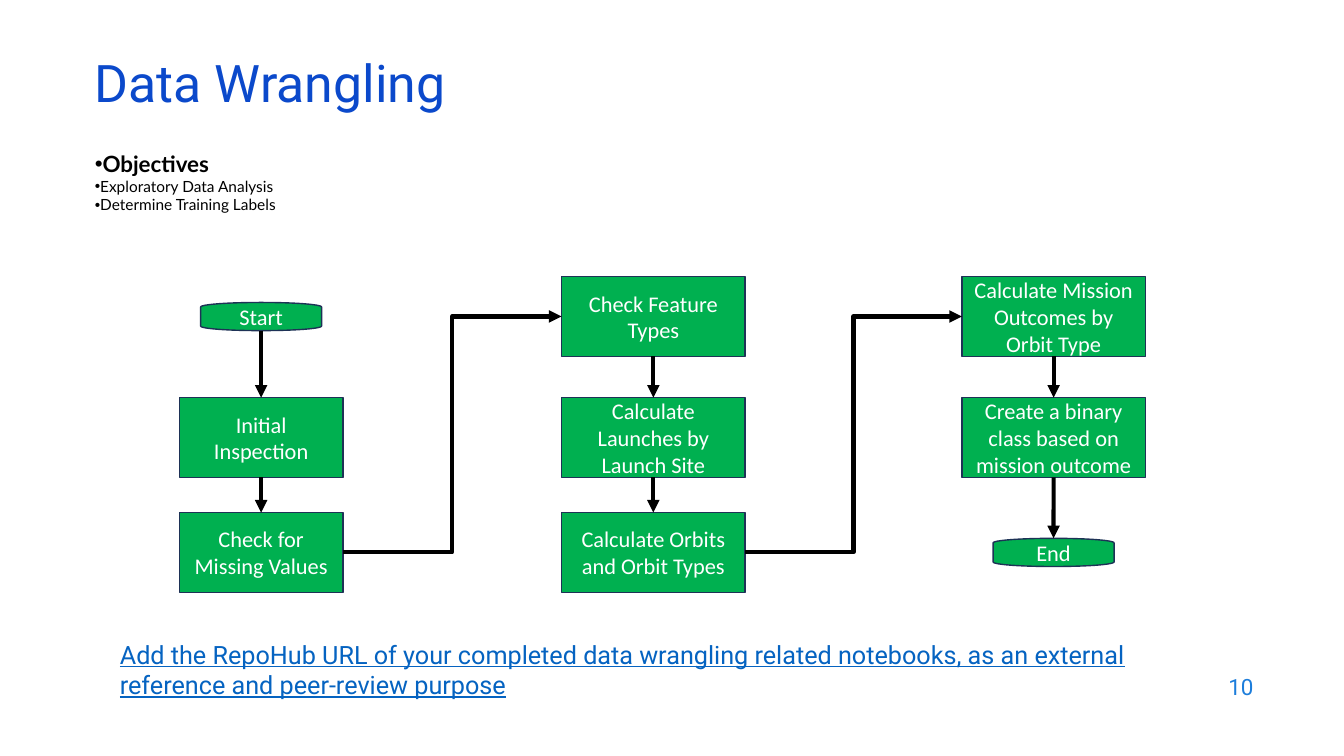
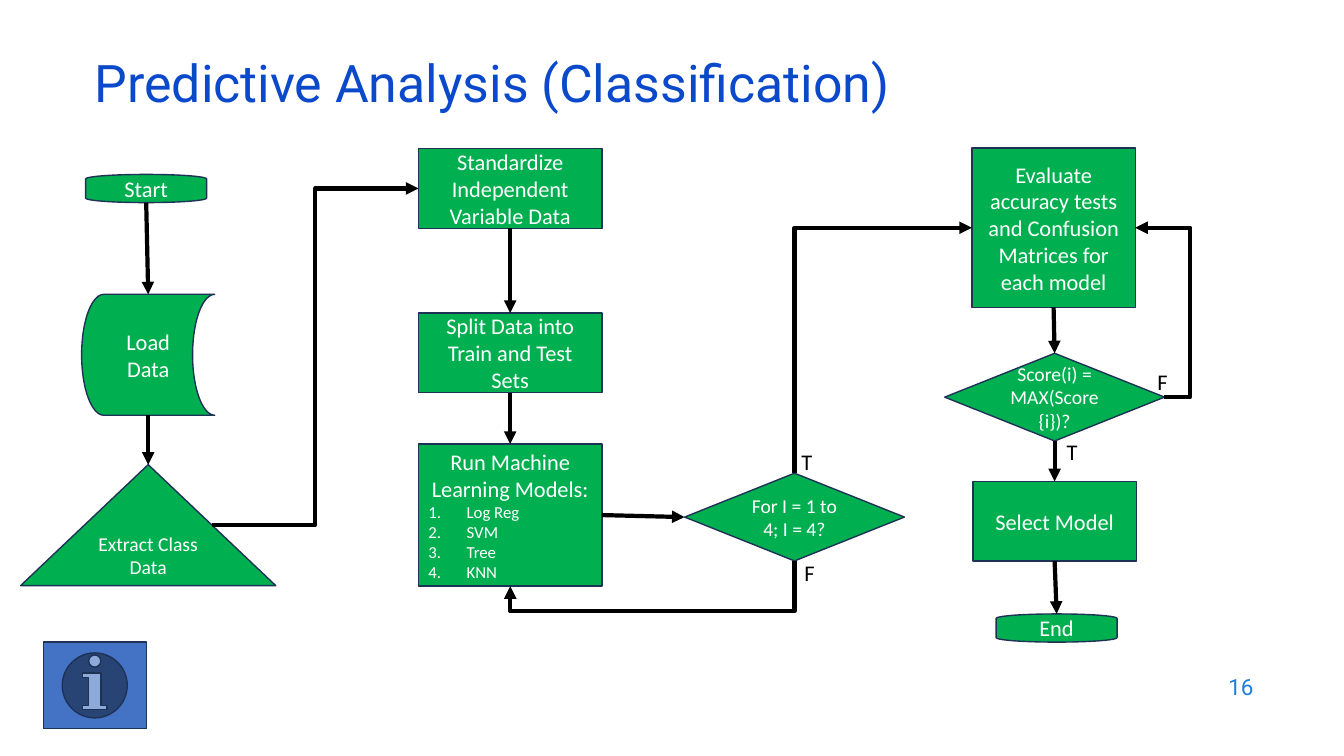
from dataclasses import dataclass
from typing import Any

from lxml import etree
from pptx import Presentation
from pptx import util as u
from pptx.dml.color import RGBColor
from pptx.enum import shapes, text
from pptx.oxml import ns

TITLE_BLUE = RGBColor(0x0B, 0x49, 0xCB)
NUMBER_BLUE = RGBColor(0x1C, 0x7D, 0xDB)
LINK_BLUE = RGBColor(0x05, 0x63, 0xC1)
BUTTON_BLUE = RGBColor(0x44, 0x72, 0xC4)
STEP_GREEN = RGBColor(0x00, 0xB0, 0x50)
OUTLINE = RGBColor(0x1E, 0x32, 0x56)
BLACK = RGBColor(0, 0, 0)
WHITE = RGBColor(255, 255, 255)

KIND = shapes.MSO_SHAPE
ALIGN = text.PP_ALIGN
TOP, LEFT, BOTTOM, RIGHT = range(4)
WIDE, NARROW = (1.82, 0.79), (1.62, 0.79)
DIAMOND = (2.18, 0.87)

TITLE_FONT = dict(name="Roboto", size=u.Pt(37), color=TITLE_BLUE)
NUMBER_FONT = dict(name="Roboto", size=u.Pt(16), color=NUMBER_BLUE)
LINK_FONT = dict(name="Roboto", size=u.Pt(18), color=LINK_BLUE, underline=True)
HEADING_FONT = dict(name="Lato", size=u.Pt(16), color=BLACK, bold=True)
ITEM_FONT = dict(name="Lato", size=u.Pt(11), color=BLACK, bold=False)
LABEL_FONT = dict(name="Calibri", size=u.Pt(16), color=BLACK)
STEP_FONT = dict(LABEL_FONT, color=WHITE)
SMALL_STEP_FONT = dict(STEP_FONT, size=u.Pt(14))
MODEL_FONT = dict(STEP_FONT, size=u.Pt(12))


def apply(target, values):
    """Set each named value on the target."""
    for name, value in values.items():
        if name == "color":
            target.color.rgb = value
        else:
            setattr(target, name, value)


def inches(*lengths):
    """Convert numbers to lengths."""
    return [u.Inches(length) for length in lengths]


def move(shape, box):
    """Place a shape in a box of left, top, width and height."""
    apply(shape, dict(zip(("left", "top", "width", "height"), inches(*box))))


def add_child(parent, tag, **attributes):
    """Append an XML element with the given attributes."""
    return etree.SubElement(parent, ns.qn(tag), attributes)


def set_bullet(paragraph, tag, indent=0, **attributes):
    """Give a paragraph a bullet with a hanging indent."""
    properties = paragraph._p.get_or_add_pPr()
    properties.set("marL", str(u.Inches(indent)))
    properties.set("indent", str(-u.Inches(indent)))
    add_child(properties, tag, **attributes)


def write(frame, words, font, **layout):
    """Fill the first paragraph of a text frame."""
    paragraph = frame.paragraphs[0]
    paragraph.text = words
    apply(paragraph, layout)
    apply(paragraph.font, font)


def add_text(slide, box, words, font, wrap=True, anchor=text.MSO_ANCHOR.TOP, **layout):
    """Add a text box."""
    frame = slide.shapes.add_textbox(*inches(*box)).text_frame
    apply(frame, dict(word_wrap=wrap, vertical_anchor=anchor))
    write(frame, words, font, **layout)


def paint(shape, fill):
    """Give a shape its fill and outline."""
    shape.shadow.inherit = False
    shape.fill.solid()
    shape.fill.fore_color.rgb = fill
    apply(shape.line, dict(color=OUTLINE, width=u.Pt(1)))


def side_point(shape, side):
    """Return the visible middle of one side of a shape."""
    width, height = shape.width, shape.height
    x, y = shape.left + width // 2, shape.top + height // 2
    if shape.rotation:
        width, height = height, width
    if shape.auto_shape_type == KIND.FLOWCHART_EXTRACT:
        width //= 2 if side in (LEFT, RIGHT) else 1
    dx, dy = ((0, -1), (-1, 0), (0, 1), (1, 0))[side]
    return x + dx * width // 2, y + dy * height // 2


def site(shape, side):
    """Return the connection site seen on a side."""
    return (side - 1) % 4 if shape.rotation else side


def turn(connector):
    """Turn an elbow by 90 degrees while keeping its ends."""
    xfrm = connector._element.spPr.xfrm
    mirrored, flipped = (xfrm.get(name) in ("1", "true") for name in ("flipH", "flipV"))
    width, height = connector.width, connector.height
    apply(connector, dict(left=connector.left + (width - height) // 2,
                          top=connector.top + (height - width) // 2,
                          width=height, height=width))
    xfrm.set("rot", "5400000")
    xfrm.set("flipH", str(int(flipped)))
    xfrm.set("flipV", str(int(not mirrored)))


@dataclass
class Flow:
    """A flow chart region, with centres given from its corner."""

    slide: Any
    left: float
    top: float

    def step(self, words, x, y, size=WIDE, kind=KIND.FLOWCHART_PROCESS, font=STEP_FONT):
        """Add a step centred on a point."""
        width, height = size
        box = self.left + x - width / 2, self.top + y - height / 2, width, height
        shape = self.slide.shapes.add_shape(kind, *inches(*box))
        paint(shape, STEP_GREEN)
        apply(shape.text_frame, dict(word_wrap=True, vertical_anchor=text.MSO_ANCHOR.MIDDLE))
        write(shape.text_frame, words, font, alignment=ALIGN.CENTER)
        return shape

    def terminal(self, words, x, y):
        """Add a start or end step, which stands on its side."""
        shape = self.step(words, x, y, (0.28, 1.2), KIND.FLOWCHART_TERMINATOR)
        shape.rotation = 270
        shape.text_frame._txBody.bodyPr.set("vert", "vert")
        return shape

    def label(self, words, x, y):
        """Add a branch label."""
        add_text(self.slide, (self.left + x, self.top + y, 0.31, 0.37), words,
                 LABEL_FONT, wrap=False)

    def arrow(self, start, start_side, end, end_side, kind="line", bend=None):
        """Join two steps with an arrow."""
        route = shapes.MSO_CONNECTOR.STRAIGHT if kind == "line" else shapes.MSO_CONNECTOR.ELBOW
        begin, finish = side_point(start, start_side), side_point(end, end_side)
        connector = self.slide.shapes.add_connector(route, *begin, *finish)
        connector.begin_connect(start, site(start, start_side))
        connector.end_connect(end, site(end, end_side))
        apply(connector, dict(begin_x=begin[0], begin_y=begin[1],
                              end_x=finish[0], end_y=finish[1]))
        apply(connector.line, dict(color=BLACK, width=u.Pt(3)))
        properties = connector._element.spPr
        add_child(connector.line._get_or_add_ln(), "a:tailEnd", type="triangle")
        add_child(properties, "a:effectLst")
        geometry = properties.find(ns.qn("a:prstGeom"))
        geometry.set("prst", kind)
        if bend is not None:
            guides = geometry.find(ns.qn("a:avLst"))
            if guides is None:
                guides = add_child(geometry, "a:avLst")
            add_child(guides, "a:gd", name="adj1", fmla=f"val {round(bend * 100000)}")
        if kind != "line" and start_side in (TOP, BOTTOM):
            turn(connector)

    def elbow(self, start, end):
        """Lead from the right of one step to the left of another."""
        self.arrow(start, RIGHT, end, LEFT, "bentConnector3", 0.5)

    def chain(self, *steps):
        """Join steps from top to bottom."""
        for upper, lower in zip(steps, steps[1:]):
            self.arrow(upper, BOTTOM, lower, TOP)


def add_page(deck, layout, title, number):
    """Add a slide with its title and number."""
    slide = deck.slides.add_slide(deck.slide_layouts[layout])
    heading = slide.shapes.title
    move(heading, (0.84, 0.59, 11.5, 0.6))
    apply(heading.text_frame, dict(auto_size=text.MSO_AUTO_SIZE.NONE,
                                   vertical_anchor=text.MSO_ANCHOR.MIDDLE))
    write(heading.text_frame, title, TITLE_FONT, alignment=ALIGN.LEFT, line_spacing=0.7)
    add_text(slide, (9.53, 6.59, 3, 0.44), number, NUMBER_FONT,
             anchor=text.MSO_ANCHOR.MIDDLE, alignment=ALIGN.RIGHT)
    return slide


def fill_objectives(body, box):
    """Write the list of objectives."""
    move(body, box)
    frame = body.text_frame
    frame.auto_size = text.MSO_AUTO_SIZE.NONE
    lines = ("Objectives", "Exploratory Data Analysis", "Determine Training Labels")
    frame.text = "\n".join(lines)
    for index, paragraph in enumerate(frame.paragraphs):
        apply(paragraph, dict(line_spacing=1.0, space_before=u.Pt(0)))
        set_bullet(paragraph, "a:buChar", char="•")
        apply(paragraph.font, ITEM_FONT if index else HEADING_FONT)


def draw_wrangling(slide, left, top):
    """Draw the data wrangling flow."""
    flow = Flow(slide, left, top)
    first, second, third = 0.81, 4.7, 8.67
    upper, middle, lower = 0.4, 1.6, 2.74
    start = flow.terminal("Start", first, upper)
    end = flow.terminal("End", third, lower)
    inspection = flow.step("Initial Inspection", first, middle, NARROW)
    missing = flow.step("Check for Missing Values", first, lower, NARROW)
    features = flow.step("Check Feature Types", second, upper)
    launches = flow.step("Calculate Launches by Launch Site", second, middle)
    orbits = flow.step("Calculate Orbits and Orbit Types", second, lower)
    outcomes = flow.step("Calculate Mission Outcomes by Orbit Type", third, upper)
    binary = flow.step("Create a binary class based on mission outcome", third, middle)
    flow.chain(start, inspection, missing)
    flow.chain(features, launches, orbits)
    flow.chain(outcomes, binary, end)
    flow.elbow(missing, features)
    flow.elbow(orbits, outcomes)


def list_models(frame):
    """Number the models below the heading of their step."""
    for model in ("Log Reg", "SVM", "Tree", "KNN"):
        paragraph = frame.add_paragraph()
        paragraph.text = model
        paragraph.alignment = ALIGN.LEFT
        set_bullet(paragraph, "a:buAutoNum", 0.38, type="arabicPeriod")
        apply(paragraph.font, MODEL_FONT)


def draw_classification(slide, left, top):
    """Draw the classification flow."""
    flow = Flow(slide, left, top)
    first, second, third, fourth = 1.27, 4.86, 7.68, 10.26
    start = flow.terminal("Start", 1.25, 0.4)
    end = flow.terminal("End", 10.28, 4.76)
    load = flow.step("Load Data", first, 2.05, (1.32, 1.2), KIND.FLOWCHART_STORED_DATA)
    extract = flow.step("Extract Class Data", first, 3.74, (2.53, 1.2),
                        KIND.FLOWCHART_EXTRACT, SMALL_STEP_FONT)
    standardize = flow.step("Standardize Independent Variable Data", second, 0.4)
    split = flow.step("Split Data into Train and Test Sets", second, 2.03)
    models = flow.step("Run Machine Learning Models:", second, 3.64, (1.82, 1.41))
    list_models(models.text_frame)
    loop = flow.step("For I = 1 to 4; I = 4?", third, 3.66, DIAMOND,
                     KIND.FLOWCHART_DECISION, SMALL_STEP_FONT)
    evaluate = flow.step("Evaluate accuracy tests and Confusion Matrices for each model",
                         10.25, 0.79, (1.62, 1.58))
    score = flow.step("Score(i) = MAX(Score{i})?", fourth, 2.47, DIAMOND,
                      KIND.FLOWCHART_DECISION, SMALL_STEP_FONT)
    select = flow.step("Select Model", fourth, 3.7, NARROW)
    flow.chain(start, load, extract)
    flow.chain(standardize, split, models)
    flow.chain(evaluate, score, select, end)
    flow.elbow(extract, standardize)
    flow.arrow(models, RIGHT, loop, LEFT)
    flow.arrow(loop, BOTTOM, models, BOTTOM, "bentConnector3", 1.99)
    flow.arrow(loop, TOP, evaluate, LEFT, "bentConnector2")
    flow.arrow(score, RIGHT, evaluate, RIGHT, "bentConnector3", -0.88)
    for branch in (("T", 7.65, 2.93), ("F", 7.68, 4.03), ("T", 10.28, 2.83), ("F", 11.18, 2.13)):
        flow.label(*branch)


def add_wrangling_slide(deck):
    """Build the data wrangling slide."""
    slide = add_page(deck, 1, "Data Wrangling", "10")
    fill_objectives(slide.placeholders[1], (0.84, 1.44, 9.82, 1.03))
    add_text(slide, (1.09, 6.29, 10.78, 0.71),
             "Add the RepoHub URL of your completed data wrangling related notebooks, "
             "as an external reference and peer-review purpose", LINK_FONT)
    draw_wrangling(slide, 1.78, 2.74)


def add_classification_slide(deck):
    """Build the classification slide."""
    slide = add_page(deck, 5, "Predictive Analysis (Classification)", "16")
    draw_classification(slide, 0.2, 1.47)
    information = slide.shapes.add_shape(KIND.ACTION_BUTTON_INFORMATION,
                                         *inches(0.43, 6.37, 1.02, 0.86))
    paint(information, BUTTON_BLUE)


def main():
    """Build and save the deck."""
    deck = Presentation()
    apply(deck, dict(slide_width=u.Inches(13.33), slide_height=u.Inches(7.5)))
    add_wrangling_slide(deck)
    add_classification_slide(deck)
    deck.save("out.pptx")


if __name__ == "__main__":
    main()
